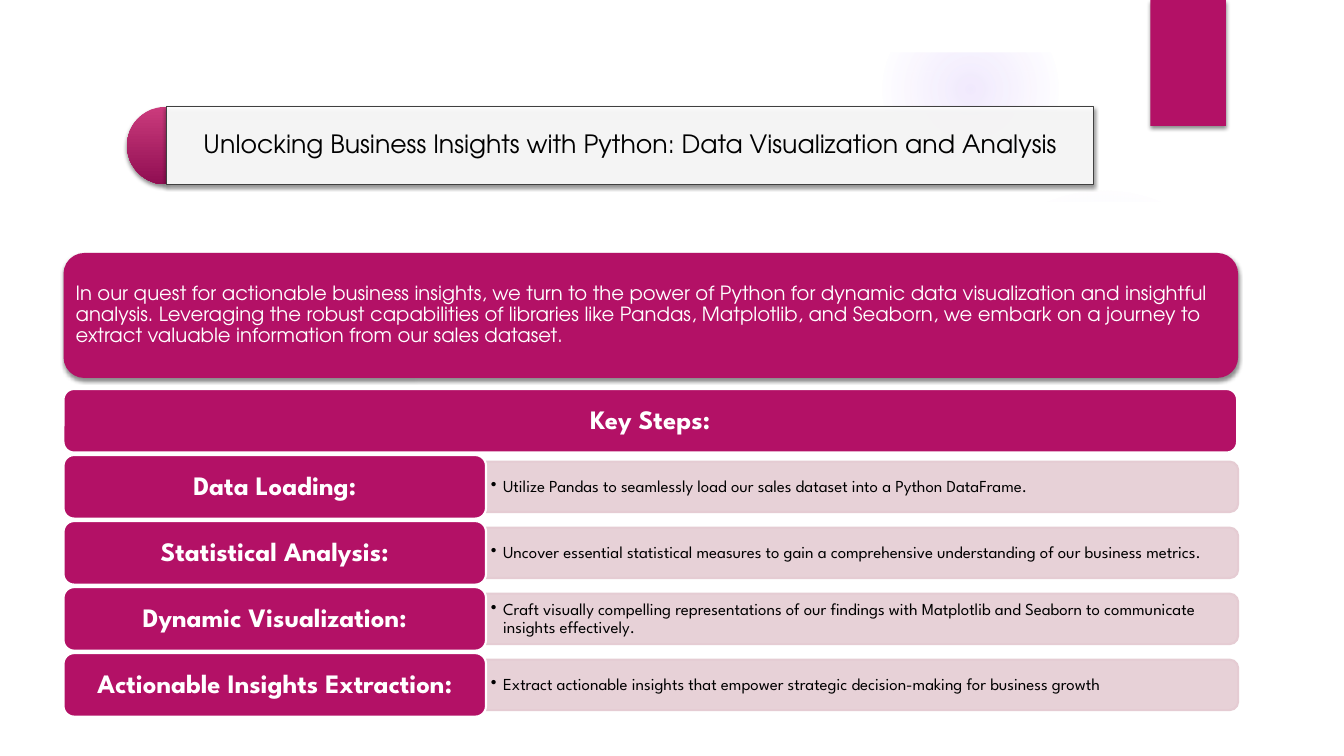
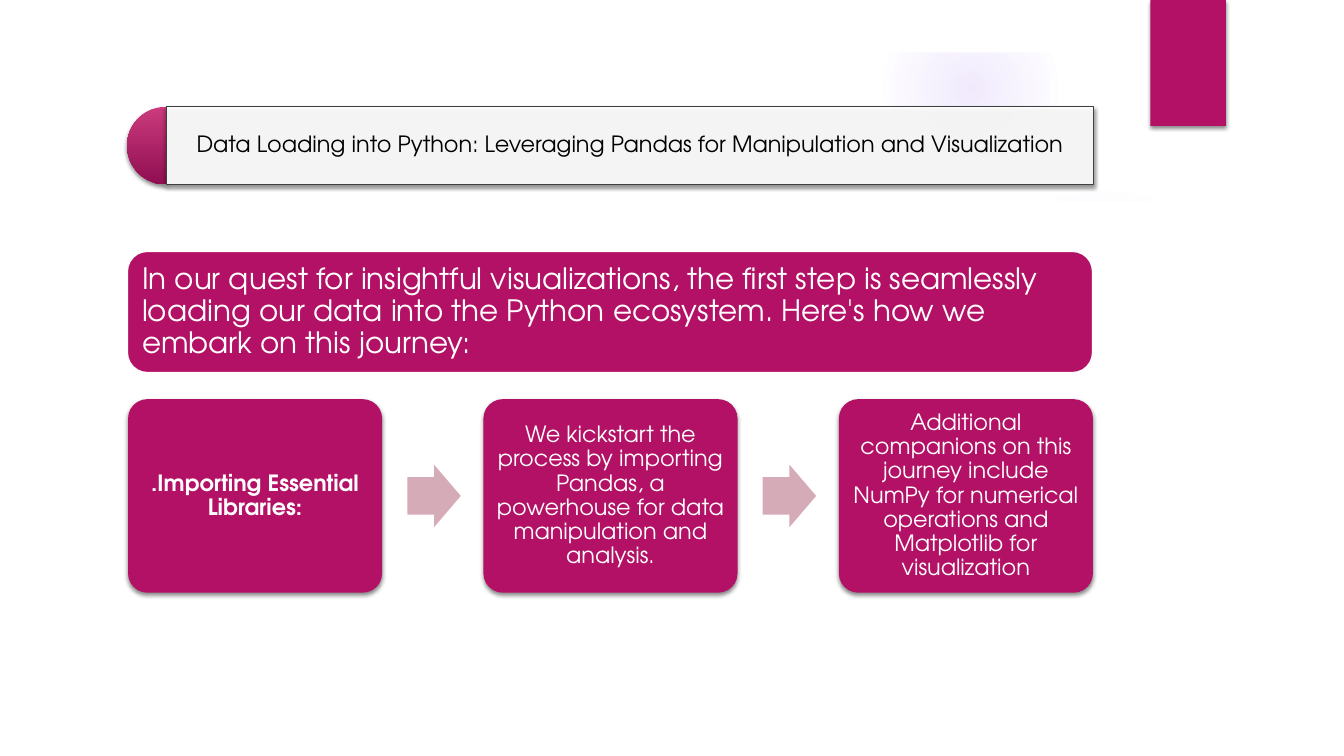
from pptx import Presentation
from pptx.dml.color import RGBColor
from pptx.enum.shapes import MSO_SHAPE
from pptx.enum.text import MSO_ANCHOR, MSO_AUTO_SIZE, PP_ALIGN
from pptx.oxml import parse_xml
from pptx.oxml.ns import nsdecls, qn
from pptx.util import Inches, Pt

RECT = MSO_SHAPE.RECTANGLE
ROUND = MSO_SHAPE.ROUNDED_RECTANGLE
OVAL = MSO_SHAPE.OVAL
PIE = MSO_SHAPE.PIE
TAB = MSO_SHAPE.ROUND_2_SAME_RECTANGLE
ARROW = MSO_SHAPE.RIGHT_ARROW
LEFT = PP_ALIGN.LEFT
CENTER = PP_ALIGN.CENTER
MIDDLE = MSO_ANCHOR.MIDDLE
FIXED = MSO_AUTO_SIZE.NONE

INK = {
    "pink": "B31166", "light": "CB3B7C", "dark": "900E52",
    "pale": "E5CCD3", "arrow": "D6ABB8", "glow": "9B6BF2",
    "white": "FFFFFF", "black": "000000", "edge": "404040",
}
RGB = {name: RGBColor.from_string(code) for name, code in INK.items()}
SANS = "TeX Gyre Adventor"
BOLD = "League Spartan"
HEAD = {"name": BOLD, "size": Pt(19), "bold": True}
NOTE = {"name": BOLD, "size": Pt(12), "bold": False}


def paint(shape, fill, line=None, width=0.75, alpha=100, shade=False):
    shape.shadow.inherit = False
    shape.fill.solid()
    shape.fill.fore_color.rgb = RGB[fill]
    props = shape.element.spPr
    if alpha < 100:
        tint = props.find(qn("a:solidFill"))[0]
        tint.append(parse_xml(f'<a:alpha {nsdecls("a")} val="{alpha * 1000}"/>'))
    if line:
        shape.line.color.rgb = RGB[line]
        shape.line.width = Pt(width)
    else:
        shape.line.fill.background()
    if shade:
        props.find(qn("a:effectLst")).append(parse_xml(
            f'<a:outerShdw {nsdecls("a")} blurRad="{Pt(3)}" dist="{Pt(2)}" '
            f'dir="5400000" rotWithShape="0"><a:srgbClr val="{INK["black"]}">'
            '<a:alpha val="45000"/></a:srgbClr></a:outerShdw>'))
    return shape


def write(shape, text, style, color="white", align=CENTER, inset=(0.07, 0.07)):
    frame = shape.text_frame
    side, end = map(Inches, inset)
    form = {
        "margin_left": side, "margin_right": side, "margin_top": end,
        "margin_bottom": end, "word_wrap": True, "auto_size": FIXED,
        "vertical_anchor": MIDDLE, "text": text,
    }
    for key, value in form.items():
        setattr(frame, key, value)
    para = frame.paragraphs[0]
    para.alignment = align
    para.line_spacing = 0.9
    font = para.runs[0].font
    for key, value in style.items():
        setattr(font, key, value)
    font.color.rgb = RGB[color]
    return para


deck = Presentation()
deck.slide_width = Inches(13.33)
deck.slide_height = Inches(7.5)
base = deck.slide_layouts[5]

titles = [
    ("Unlocking Business Insights with Python: Data Visualization and Analysis", 18),
    ("Data Loading into Python: Leveraging Pandas for Manipulation and Visualization", 16),
]
pages = []
for text, size in titles:
    page = deck.slides.add_slide(base)
    title = page.shapes.title
    title.left, title.top = Inches(1.65), Inches(1.06)
    title.width, title.height = Inches(9.2), Inches(0.77)
    paint(title, "white", "edge", alpha=90, shade=True)
    write(title, text, {"name": SANS, "size": Pt(size), "bold": False}, "black")
    pages.append(page)

first, second = [page.shapes for page in pages]

decor = []
halos = [
    (9.41, 1.83, 3.08, [(0, 7), (36, 6), (69, 0)]),
    (8.75, 0.01, 1.75, [(0, 14), (36, 7), (73, 0)]),
]
for left, top, size, stops in halos:
    halo = first.add_shape(OVAL, Inches(left), Inches(top), Inches(size), Inches(size))
    paint(halo, "glow")
    marks = "".join(
        f'<a:gs pos="{pos * 1000}"><a:srgbClr val="{INK["glow"]}">'
        f'<a:alpha val="{alpha * 1000}"/></a:srgbClr></a:gs>' for pos, alpha in stops)
    props = halo.element.spPr
    props.replace(props.find(qn("a:solidFill")), parse_xml(
        f'<a:gradFill {nsdecls("a")}><a:gsLst>{marks}</a:gsLst><a:path path="circle">'
        '<a:fillToRect l="50000" t="50000" r="50000" b="50000"/></a:path></a:gradFill>'))
    decor.append(halo)

curve = [
    (12.84, 7), (12.84, 2.04), (12.28, 2.13), (11.72, 2.2), (11.16, 2.27),
    (10.6, 2.32), (10.04, 2.37), (9.49, 2.41), (8.67, 2.45), (7.34, 2.48),
    (6.07, 2.47), (4.88, 2.43), (3.6, 2.36), (2.49, 2.27), (1.59, 2.18), (0.5, 2.04),
]
path = first.build_freeform(0.5, 7, scale=Inches(1))
path.add_line_segments(curve)
decor.append(paint(path.convert_to_shape(), "white"))

band = first.add_shape(RECT, 0, 0, deck.slide_width, Inches(0.52))
decor.append(paint(band, "white"))
flag = first.add_shape(RECT, Inches(11.41), 0, Inches(0.75), Inches(1.25))
decor.append(paint(flag, "pink", shade=True))

cap = first.add_shape(PIE, Inches(1.26), Inches(1.06), Inches(0.77), Inches(0.77))
cap.adjustments[0], cap.adjustments[1] = 54, 162
paint(cap, "pink", shade=True)
cap.fill.gradient()
cap.fill.gradient_angle = 270
for stop, name, place in zip(cap.fill.gradient_stops, ("light", "dark"), (0, 1)):
    stop.color.rgb = RGB[name]
    stop.position = place
decor.append(cap)

for num, part in enumerate(decor, 50):
    part.element.xpath(".//p:cNvPr")[0].set("id", str(num))
    base.shapes.element.append(part.element)

intro = first.add_shape(ROUND, Inches(0.63), Inches(2.51), Inches(11.65), Inches(1.24))
paint(intro, "pink", shade=True)
write(intro, "In our quest for actionable business insights, we turn to the power of Python "
      "for dynamic data visualization and insightful analysis. Leveraging the robust "
      "capabilities of libraries like Pandas, Matplotlib, and Seaborn, we embark on a "
      "journey to extract valuable information from our sales dataset.",
      {"name": SANS, "size": Pt(14)}, align=LEFT, inset=(0.06, 0.06))

steps = [
    ("Key Steps:", None),
    ("Data Loading:",
     "Utilize Pandas to seamlessly load our sales dataset into a Python DataFrame."),
    ("Statistical Analysis:",
     "Uncover essential statistical measures to gain a comprehensive understanding of our "
     "business metrics."),
    ("Dynamic Visualization:",
     "Craft visually compelling representations of our findings with Matplotlib and Seaborn "
     "to communicate insights effectively."),
    ("Actionable Insights Extraction:",
     "Extract actionable insights that empower strategic decision-making for business growth"),
]
pitch = (6.48 - 3.86) / 4
tall, wide, high = 0.63, 7.46, 0.5
for row, (name, note) in enumerate(steps):
    top = 3.86 + row * pitch
    mid = top + tall / 2
    if note:
        panel = first.add_shape(TAB, Inches(4.82 + (wide - high) / 2),
                                Inches(mid - wide / 2), Inches(high), Inches(wide))
        panel.rotation = 90
        paint(panel, "pale", "pale", 1.5, alpha=90)
        box = first.add_textbox(Inches(4.82), Inches(mid - 0.22), Inches(7.43), Inches(0.45))
        para = write(box, note, NOTE, "black", LEFT, (0.05, 0.03))
        props = para._p.get_or_add_pPr()
        props.set("marL", str(Inches(0.12)))
        props.set("indent", str(-Inches(0.12)))
        props.append(parse_xml(f'<a:buChar {nsdecls("a")} char="•"/>'))
    label = first.add_shape(ROUND, Inches(0.63), Inches(top),
                            Inches(4.19 if note else 11.64), Inches(tall))
    paint(label, "pink", "white", 1.5)
    write(label, name, HEAD, inset=(0.08, 0.04))

intro = second.add_shape(ROUND, Inches(1.26), Inches(2.49), Inches(9.58), Inches(1.21))
paint(intro, "pink", "white", 1.5)
write(intro, "In our quest for insightful visualizations, the first step is seamlessly "
      "loading our data into the Python ecosystem. Here's how we embark on this journey:",
      {"name": SANS, "size": Pt(21)}, align=LEFT, inset=(0.09, 0.09))

cards = [
    ".Importing Essential Libraries:",
    "We kickstart the process by importing Pandas, a powerhouse for data manipulation "
    "and analysis.",
    "Additional companions on this journey include NumPy for numerical operations and "
    "Matplotlib for visualization",
]
pitch = (8.32 - 1.27) / 2
for col, text in enumerate(cards):
    left = 1.27 + col * pitch
    card = second.add_shape(ROUND, Inches(left), Inches(3.96), Inches(2.52), Inches(1.92))
    card.adjustments[0] = 0.1
    paint(card, "pink", shade=True)
    write(card, text, {"name": SANS, "size": Pt(16), "bold": col == 0})
    if col < len(cards) - 1:
        arrow = second.add_shape(ARROW, Inches(left + 2.77), Inches(4.61),
                                 Inches(0.53), Inches(0.62))
        arrow.adjustments[0], arrow.adjustments[1] = 0.6, 0.5
        paint(arrow, "arrow")

deck.save("out.pptx")
